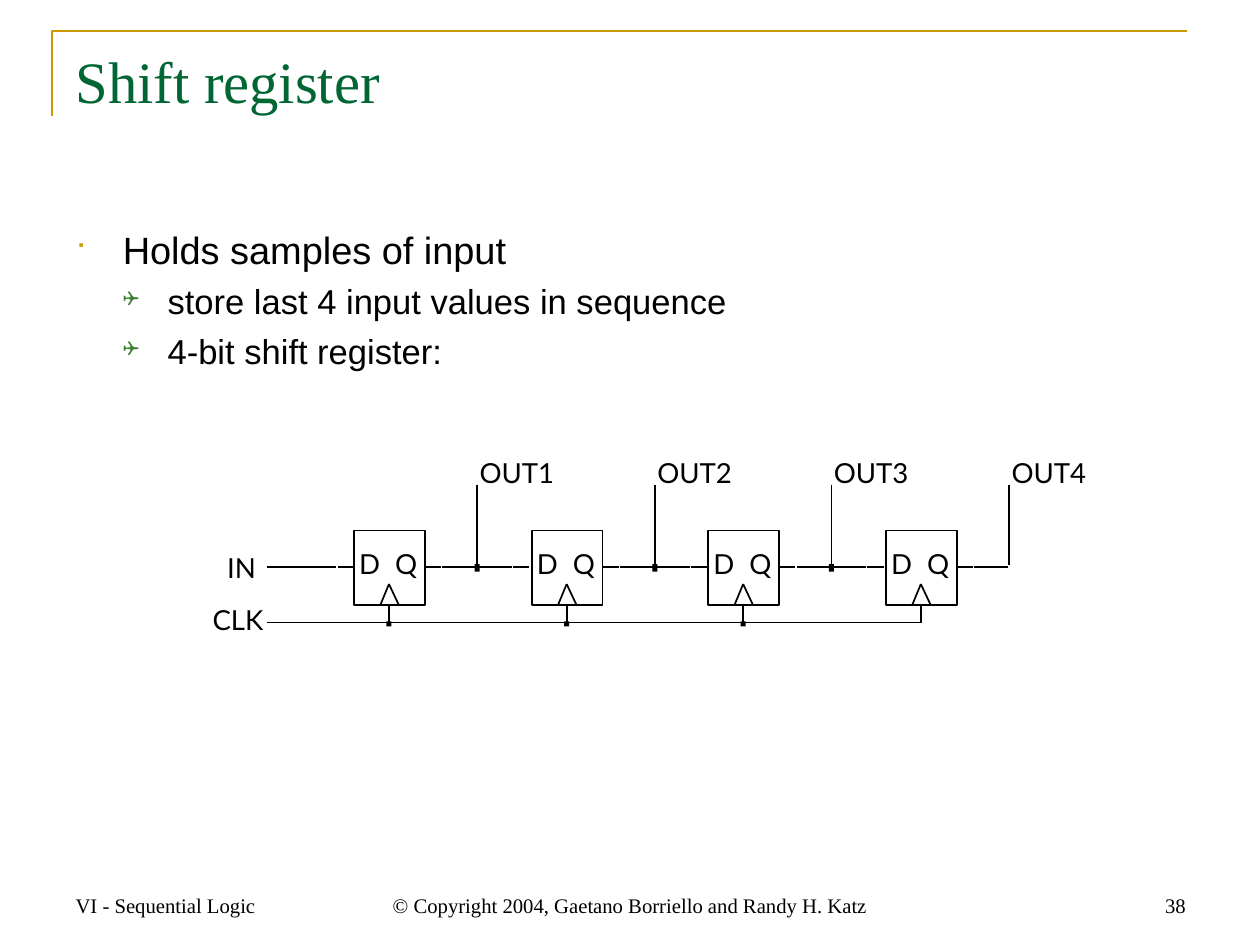
from lxml import etree
from pptx import Presentation
from pptx.dml.color import RGBColor
from pptx.enum import shapes, text
from pptx.oxml import ns
from pptx.util import Inches, Pt

COLORS = {"black": "000000", "white": "FFFFFF", "gold": "CC9900",
          "title": "006633", "leaf": "3B812F"}
SERIF, SANS, LABEL, SYMBOL = "Times New Roman", "Arial", "Lato", "Wingdings"
LEFT, CENTER, RIGHT = (text.PP_ALIGN.LEFT, text.PP_ALIGN.CENTER, text.PP_ALIGN.RIGHT)

TITLE = "Shift register"
BULLETS = [  # text, level, size, space before
    ("Holds samples of input", 0, 22, 0),
    ("store last 4 input values in sequence", 1, 20, 5),
    ("4-bit shift register:", 1, 20, 5),
]
LEVELS = [  # bullet, colour, size in percent, margin, indent
    ("■", "gold", 65, 0.38, -0.38),
    ("❑", "leaf", 60, 0.74, -0.36),
]
FOOTERS = [  # text, left, width, alignment
    ("VI - Sequential Logic", 0.51, 2.37, LEFT),
    ("© Copyright 2004, Gaetano Borriello and Randy H. Katz", 2.96, 4.22, CENTER),
    ("38", 7.27, 2.37, RIGHT),
]
STAGES = [("OUT1", 2.85), ("OUT2", 4.28), ("OUT3", 5.70), ("OUT4", 7.13)]
INPUTS = [("IN", 1.50, 4.43, 0.58), ("CLK", 1.58, 4.85, 0.56)]

# Heights and offsets of the circuit
BOX_TOP, BOX_W, BOX_H = 4.27, 0.57, 0.60
BOX_BOTTOM = BOX_TOP + BOX_H
DATA_Y, CLOCK_Y, OUT_TOP = 4.56, 5.01, 3.90
WIRE_START, CLOCK_X, TAP_X = 2.15, 0.28, 0.99
OUT_WIRES = [(0.57, 0.70), (0.71, 0.98)]   # from Q to the tap
NEXT_WIRES = [(1.00, 1.27), (1.28, 1.41)]  # from the tap to the next D

prs = Presentation()
prs.slide_width, prs.slide_height = Pt(730), Pt(547.5)
s = prs.slides.add_slide(prs.slide_layouts[6])


def rgb(name):
    return RGBColor.from_string(COLORS[name])


def set_line(line, color, width):
    line.color.rgb = rgb(color)
    line.width = Pt(width)


def wire(x1, y1, x2, y2):
    c = s.shapes.add_connector(shapes.MSO_CONNECTOR.STRAIGHT,
                               *map(Inches, (x1, y1, x2, y2)))
    set_line(c.line, "black", 1)
    etree.SubElement(c._element.spPr, ns.qn("a:effectLst"))


def rect(x, y, w, h, fill, outlined=False):
    sp = s.shapes.add_shape(shapes.MSO_SHAPE.RECTANGLE, *map(Inches, (x, y, w, h)))
    sp.shadow.inherit = False
    sp.fill.solid()
    sp.fill.fore_color.rgb = rgb(fill)
    if outlined:
        set_line(sp.line, "black", 1)
    else:
        sp.line.fill.background()


def dot(x, y, w, h):
    """Junction mark centred on x, y."""
    rect(x - w / 2, y - h / 2, w, h, "black")


def text_frame(x, y, w, h, margins=(0.1, 0.05), wrap=True, anchor=text.MSO_ANCHOR.TOP):
    tf = s.shapes.add_textbox(*map(Inches, (x, y, w, h))).text_frame
    side, end = map(Inches, margins)
    frame = {"margin_left": side, "margin_right": side, "margin_top": end,
             "margin_bottom": end, "word_wrap": wrap, "vertical_anchor": anchor}
    for name, value in frame.items():
        setattr(tf, name, value)
    return tf


def write(p, words, size, font, color="black", align=LEFT):
    p.alignment = align
    r = p.add_run()
    r.text = words
    for name, value in {"size": Pt(size), "name": font}.items():
        setattr(r.font, name, value)
    r.font.color.rgb = rgb(color)


def label(words, x, y, w, h=0.38, align=LEFT):
    p = text_frame(x, y, w, h, (0.02, 0.03), wrap=False).paragraphs[0]
    p.line_spacing = Pt(17)
    write(p, words, 16, LABEL, align=align)


def set_bullet(p, level):
    char, color, percent, margin, indent = LEVELS[level]
    p.level = level
    pPr = p._p.get_or_add_pPr()
    pPr.set("marL", str(Inches(margin)))
    pPr.set("indent", str(Inches(indent)))
    clr = etree.SubElement(pPr, ns.qn("a:buClr"))
    etree.SubElement(clr, ns.qn("a:srgbClr"), val=COLORS[color])
    etree.SubElement(pPr, ns.qn("a:buSzPct"), val=str(percent * 1000))
    etree.SubElement(pPr, ns.qn("a:buFont"), typeface=SYMBOL)
    etree.SubElement(pPr, ns.qn("a:buChar"), char=char)


def flip_flop(x):
    rect(x, BOX_TOP, BOX_W, BOX_H, "white", outlined=True)
    for foot in (0.21, 0.36):
        wire(x + foot, BOX_BOTTOM, x + CLOCK_X, 4.70)
    label("D", x + 0.02, 4.40, 0.28)
    label("Q", x + 0.31, 4.40, 0.27)


# Corner rule
fb = s.shapes.build_freeform(Inches(0.42), Inches(0.93), scale=1.0)
fb.add_line_segments([(Inches(0.42), Inches(0.25)), (Inches(9.55), Inches(0.25))],
                     close=False)
corner = fb.convert_to_shape()
corner.shadow.inherit = False
corner.fill.background()
set_line(corner.line, "gold", 1.5)

# Circuit
for words, x, y, w in INPUTS:
    label(words, x, y, w, 0.37, RIGHT)
for x1, x2 in ((WIRE_START, 2.70), (2.72, 2.84)):
    wire(x1, DATA_Y, x2, DATA_Y)

clock_from = WIRE_START
for i, (out, x) in enumerate(STAGES):
    last = i == len(STAGES) - 1
    tap, clock = x + TAP_X, x + CLOCK_X
    flip_flop(x)
    for a, b in OUT_WIRES + ([] if last else NEXT_WIRES):
        wire(x + a, DATA_Y, x + b, DATA_Y)
    wire(tap, OUT_TOP, tap, DATA_Y - 0.01)
    label(out, tap, 3.67, 0.79)
    wire(clock, BOX_BOTTOM, clock, CLOCK_Y)
    wire(clock_from, CLOCK_Y, clock, CLOCK_Y)
    clock_from = clock
    if not last:
        dot(tap, DATA_Y + 0.01, 0.04, 0.06)
        dot(clock, CLOCK_Y + 0.01, 0.04, 0.04)

# Text
write(text_frame(0.51, 0.31, 9.12, 1.26).paragraphs[0], TITLE, 34, SERIF, "title")

body = text_frame(0.51, 1.77, 9.12, 5.02)
for i, (words, level, size, before) in enumerate(BULLETS):
    p = body.add_paragraph() if i else body.paragraphs[0]
    set_bullet(p, level)
    p.space_before = Pt(before)
    write(p, words, size, SANS)

for words, x, w, align in FOOTERS:
    tf = text_frame(x, 6.92, w, 0.51, anchor=text.MSO_ANCHOR.BOTTOM)
    write(tf.paragraphs[0], words, 12, SERIF, align=align)

prs.save("out.pptx")
